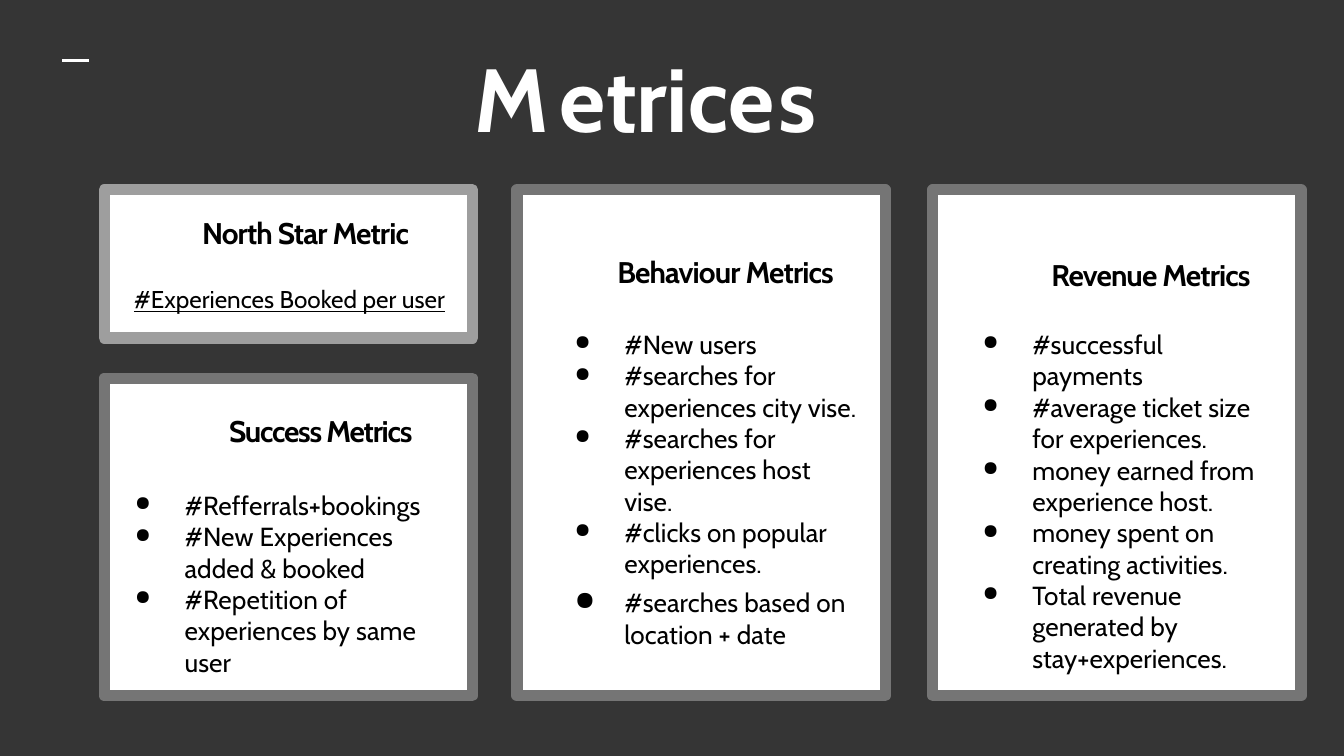
from copy import deepcopy
from dataclasses import dataclass

from lxml import etree
from pptx import Presentation
from pptx.dml.color import RGBColor
from pptx.enum.shapes import MSO_CONNECTOR, MSO_SHAPE
from pptx.enum.text import MSO_ANCHOR, PP_ALIGN
from pptx.oxml.ns import qn
from pptx.util import Cm, Pt

RECTANGLE = MSO_SHAPE.RECTANGLE
STRAIGHT = MSO_CONNECTOR.STRAIGHT
TOP, LEFT = MSO_ANCHOR.TOP, PP_ALIGN.LEFT


@dataclass(frozen=True)
class Theme:
    font: str = "Cabin"
    backdrop: str = "353535"
    white: str = "FFFFFF"
    ink: str = "000000"
    border: str = "757575"
    key_border: str = "9E9E9E"
    title_size: float = 48
    heading_size: float = 16
    bullet_size: float = 14
    key_size: float = 13


@dataclass(frozen=True)
class MetricList:
    """Heading and bullets of a card, with its place and spacing (cm, points)."""
    heading: str
    bullets: tuple
    box: tuple
    top_inset: float
    heading_indent: float
    bullet_indent: float
    gap: float
    heading_tracking: float = -0.45


THEME = Theme()
SLIDE_WIDTH, SLIDE_HEIGHT = 25.4, 14.29
HANG = 0.94
CARD_WIDTH = 6.96
LEFT_COLUMN, MIDDLE_COLUMN, RIGHT_COLUMN = 1.97, 9.77, 17.63
UPPER, TALL = 3.59, 9.56
LOWER, LOWER_HEIGHT = 7.15, 6.0

TITLE_TRACKING = (("M", 5.3), ("e", 0.9), ("tri", -0.5), ("c", -0.9), ("es", 2.1))

# A vertical tab marks a line break inside a bullet.
METRIC_LISTS = (
    MetricList(
        "Success Metrics",
        ("#Refferrals+bookings",
         "#New Experiences\vadded & booked",
         "#Repetition of\vexperiences by same\vuser"),
        (LEFT_COLUMN, LOWER, CARD_WIDTH, LOWER_HEIGHT), 0.65, 2.36, 1.52, 21.9,
        -0.65),
    MetricList(
        "Behaviour Metrics",
        ("#New users",
         "#searches for\vexperiences city vise.",
         "#searches for\vexperiences host\vvise.",
         "#clicks on popular\vexperiences.",
         "#searches based on\vlocation + date"),
        (MIDDLE_COLUMN, UPPER, CARD_WIDTH, TALL), 1.2, 1.9, 2.03, 20.9),
    MetricList(
        "Revenue Metrics",
        ("#successful\vpayments",
         "#average ticket size\vfor experiences.",
         "money earned from\vexperience host.",
         "money spent on\vcreating activities.",
         "Total revenue\vgenerated by\vstay+experiences."),
        (RIGHT_COLUMN, UPPER, CARD_WIDTH, TALL), 1.26, 2.24, 1.88, 19.3),
)


def rgb(value):
    return RGBColor.from_string(value)


def write(paragraph, text, *, size, color=THEME.ink, bold=False,
          underline=False, tracking=0):
    """Append formatted text; vertical tabs become line breaks."""
    for number, line in enumerate(text.split("\v")):
        if number:
            paragraph.add_line_break()
            line_break = paragraph._p.findall(qn("a:br"))[-1]
            line_break.insert(0, deepcopy(run._r.rPr))
        run = paragraph.add_run()
        run.text = line
        run.font.name = THEME.font
        run.font.size = Pt(size)
        run.font.bold = bold
        run.font.underline = underline
        run.font.color.rgb = rgb(color)
        run._r.get_or_add_rPr().set("spc", str(round(tracking * 100)))


def set_indent(paragraph, left, first=0):
    paragraph.alignment = LEFT
    properties = paragraph._p.get_or_add_pPr()
    properties.set("marL", str(Cm(left)))
    properties.set("indent", str(Cm(first)))


def add_bullet(paragraph, scale):
    properties = paragraph._p.get_or_add_pPr()
    etree.SubElement(properties, qn("a:buSzPct"), val=str(scale * 1000))
    etree.SubElement(properties, qn("a:buChar"), char="●")


def prepare_frame(frame, top_inset):
    frame.word_wrap = True
    frame.vertical_anchor = TOP
    frame.margin_left = frame.margin_right = frame.margin_bottom = 0
    frame.margin_top = Cm(top_inset)


def add_panel(slide, box, fill):
    panel = slide.shapes.add_shape(RECTANGLE, *map(Cm, box))
    panel.shadow.inherit = False
    panel.fill.solid()
    panel.fill.fore_color.rgb = rgb(fill)
    panel.line.fill.background()
    return panel


def add_card(slide, box, border, top_inset, heading, heading_indent, tracking):
    """Draw a bordered card with its heading and return its text frame."""
    card = add_panel(slide, box, THEME.white)
    card.line.color.rgb = rgb(border)
    card.line.width = Pt(6)
    frame = card.text_frame
    prepare_frame(frame, top_inset)
    set_indent(frame.paragraphs[0], heading_indent)
    write(frame.paragraphs[0], heading, size=THEME.heading_size, bold=True,
          tracking=tracking)
    return frame


def add_north_star(slide):
    frame = add_card(slide, (LEFT_COLUMN, UPPER, CARD_WIDTH, 2.8),
                     THEME.key_border, 0.46, "North Star Metric", 1.85, -0.45)
    metric = frame.add_paragraph()
    set_indent(metric, 0.56)
    metric.space_before = Pt(18.5)
    write(metric, "#Experiences Booked per user", size=THEME.key_size,
          underline=True, tracking=0.03)


def add_metric_list(slide, metrics):
    frame = add_card(slide, metrics.box, THEME.border, metrics.top_inset,
                     metrics.heading, metrics.heading_indent,
                     metrics.heading_tracking)
    for number, text in enumerate(metrics.bullets):
        bullet = frame.add_paragraph()
        set_indent(bullet, metrics.bullet_indent, -HANG)
        emphasised = text.startswith("#searches based")
        bullet.space_before = Pt(metrics.gap if number == 0 else 4 * emphasised)
        add_bullet(bullet, 100 if emphasised else 78)
        write(bullet, text, size=THEME.bullet_size, tracking=0.03)


def add_title(slide):
    title = slide.shapes.add_textbox(Cm(8.97), Cm(0.78), Cm(7.06), Cm(2.11))
    prepare_frame(title.text_frame, 0.03)
    for letters, tracking in TITLE_TRACKING:
        write(title.text_frame.paragraphs[0], letters, size=THEME.title_size,
              color=THEME.white, bold=True, tracking=tracking)


def add_dash(slide):
    dash = slide.shapes.add_connector(STRAIGHT, Cm(1.18), Cm(1.15), Cm(1.69), Cm(1.15))
    dash.line.color.rgb = rgb(THEME.white)
    dash.line.width = Pt(1.5)
    etree.SubElement(dash._element.spPr, qn("a:effectLst"))


def main():
    deck = Presentation()
    deck.slide_width, deck.slide_height = Cm(SLIDE_WIDTH), Cm(SLIDE_HEIGHT)
    slide = deck.slides.add_slide(deck.slide_layouts[6])
    add_panel(slide, (0, 0, SLIDE_WIDTH, SLIDE_HEIGHT), THEME.backdrop)
    add_dash(slide)
    add_title(slide)
    add_north_star(slide)
    for metrics in METRIC_LISTS:
        add_metric_list(slide, metrics)
    deck.save("out.pptx")


if __name__ == "__main__":
    main()
